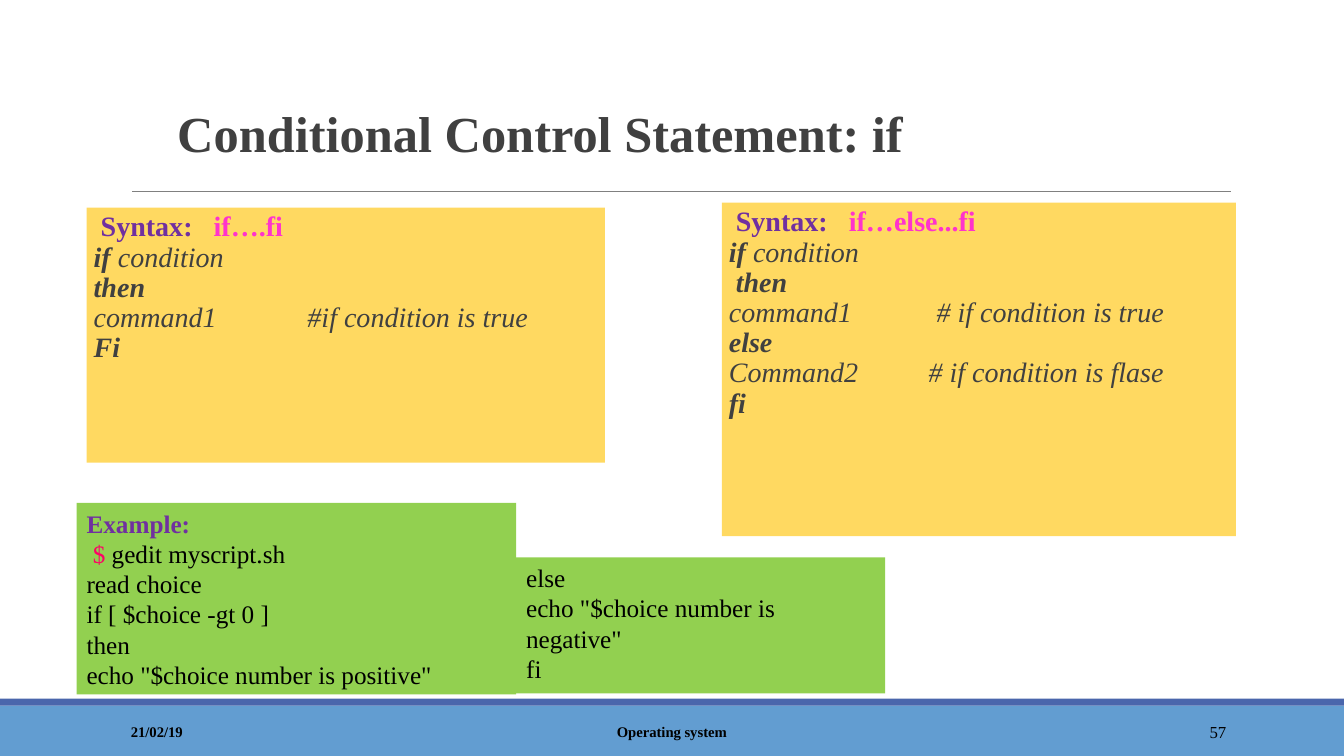
import pptx
import pptx.util
import pptx.dml.color
import pptx.enum.shapes
import pptx.enum.text
from lxml import etree

RGB = pptx.dml.color.RGBColor
BLUE, NAVY = RGB(0x62, 0x9D, 0xD1), RGB(0x4A, 0x66, 0xAC)
GOLD, GREEN = RGB(0xFF, 0xD9, 0x61), RGB(0x92, 0xD0, 0x50)
DARK, BLACK, GRAY = RGB(0x40, 0x40, 0x40), RGB(0, 0, 0), RGB(0x80, 0x80, 0x80)
PURPLE, PINK, RED = RGB(0x70, 0x30, 0xA0), RGB(0xFF, 0x33, 0xCC), RGB(0xFF, 0, 0x66)
FONT = "Times New Roman"
WIDE, HIGH = 13.33, 7.5
ALIGN = pptx.enum.text.PP_ALIGN
ANCHOR = pptx.enum.text.MSO_ANCHOR

LOOKS = {
    "plain": (BLACK, False, False),
    "bold": (BLACK, True, False),
    "title": (DARK, True, False),
    "label": (PURPLE, True, False),
    "form": (PINK, True, False),
    "prompt": (RED, False, False),
    "key": (DARK, True, True),
    "body": (DARK, False, True),
}

BANDS = [((0, 93.33, 100, 6.67), BLUE), ((0, 92.4, 100, 0.93), NAVY)]
RULE = (9.83, 91.6, 25.33)
TITLE = "Conditional Control Statement: if"
FOOT = [
    ("21/02/19", 9, 20.26, ALIGN.LEFT, "bold", 10.5),
    ("Operating system", 30.23, 39.53, ALIGN.CENTER, "bold", 10.5),
    ("57", 81.25, 10.73, ALIGN.RIGHT, "plain", 12),
]
TEST = [("if", "key"), (" condition", "body")]
SYNTAX = [
    ((6.45, 27.47, 38.56, 33.73), [
        ([(" Syntax:\t", "label"), ("if….fi", "form")], 1.19),
        (TEST, 0),
        ([("then", "key")], 0),
        ([("command1\t#if condition is true", "body")], 2.12),
        ([("Fi", "key")], 0),
    ]),
    ((53.71, 26.8, 38.26, 44.13), [
        ([(" Syntax:\t", "label"), ("if…else...fi", "form")], 1.19),
        (TEST, 0),
        ([(" then", "key")], 0),
        ([("command1\t# if condition is true", "body")], 2.06),
        ([("else", "key")], 0),
        ([("Command2\t# if condition is flase", "body")], 1.98),
        ([("fi", "key")], 0),
    ]),
]
CODE = [
    ((5.7, 66.53, 32.71, 25.33), [
        [("Example:", "label")],
        [(" ", "plain"), ("$ ", "prompt"), ("gedit myscript.sh", "plain")],
        [("read choice", "plain")],
        [("if [ $choice -gt 0 ]", "plain")],
        [("then", "plain")],
        [('echo "$choice number is positive"', "plain")],
    ]),
    ((38.41, 73.73, 27.46, 18), [
        [("else", "plain")],
        [('echo "$choice number is negative"', "plain")],
        [("fi", "plain")],
    ]),
]

deck = pptx.Presentation()
deck.slide_width = pptx.util.Inches(WIDE)
deck.slide_height = pptx.util.Inches(HIGH)
slide = deck.slides.add_slide(deck.slide_layouts[6])


def across(share):
    return pptx.util.Inches(WIDE * share / 100)


def down(share):
    return pptx.util.Inches(HIGH * share / 100)


def place(area):
    left, top, width, height = area
    return across(left), down(top), across(width), down(height)


def block(area, fill):
    shape = slide.shapes.add_shape(
        pptx.enum.shapes.MSO_SHAPE.RECTANGLE, *place(area))
    shape.shadow.inherit = False
    shape.fill.solid()
    shape.fill.fore_color.rgb = fill
    shape.line.fill.background()
    return shape


def add_tab(para, stop):
    props = para._p.get_or_add_pPr()
    tabs = etree.SubElement(props, pptx.oxml.ns.qn("a:tabLst"))
    etree.SubElement(tabs, pptx.oxml.ns.qn("a:tab"),
                     pos=str(pptx.util.Inches(stop)), algn="l")


def write(shape, lines, size, align=ALIGN.LEFT, anchor=ANCHOR.TOP,
          space=1.0, inset=0.1, edge=0.1):
    frame = shape.text_frame
    frame.word_wrap = True
    frame.vertical_anchor = anchor
    frame.margin_left = pptx.util.Inches(inset)
    frame.margin_right = pptx.util.Inches(edge)
    frame.margin_top = frame.margin_bottom = pptx.util.Inches(0.05)
    for row, (runs, stop) in enumerate(lines):
        para = frame.add_paragraph() if row else frame.paragraphs[0]
        if stop:
            add_tab(para, stop)
        para.alignment = align
        para.line_spacing = space
        for text, look in runs:
            run = para.add_run()
            run.text = text
            font = run.font
            font.name, font.size = FONT, pptx.util.Pt(size)
            font.color.rgb, font.bold, font.italic = LOOKS[look]


def main():
    for area, fill in BANDS:
        block(area, fill)
    start, end, level = RULE
    rule = slide.shapes.add_connector(
        pptx.enum.shapes.MSO_CONNECTOR.STRAIGHT,
        across(start), down(level), across(end), down(level))
    rule.line.color.rgb = GRAY
    rule.line.width = pptx.util.Pt(0.75)
    etree.SubElement(rule._element.spPr, pptx.oxml.ns.qn("a:effectLst"))

    title = slide.shapes.add_textbox(*place((12.45, 11.33, 82.5, 10.8)))
    write(title, [([(TITLE, "title")], 0)], 36,
          anchor=ANCHOR.BOTTOM, space=0.85)
    for text, left, width, align, look, size in FOOT:
        box = slide.shapes.add_textbox(*place((left, 94.13, width, 5.33)))
        write(box, [([(text, look)], 0)], size, align=align,
              anchor=ANCHOR.MIDDLE)
    for area, lines in SYNTAX:
        write(block(area, GOLD), lines, 20, space=0.9, inset=0.07, edge=0)
    for area, lines in CODE:
        write(block(area, GREEN), [(runs, 0) for runs in lines], 18)
    deck.save("out.pptx")


if __name__ == "__main__":
    main()
